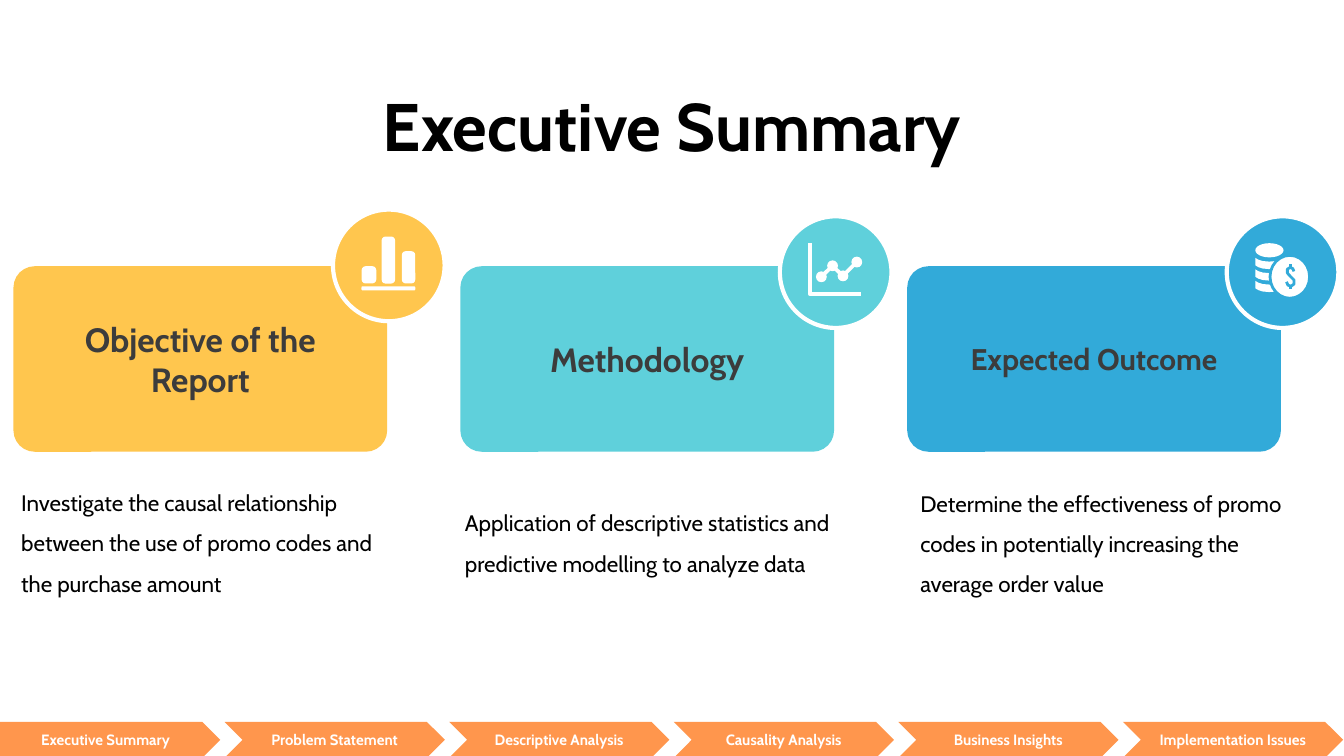
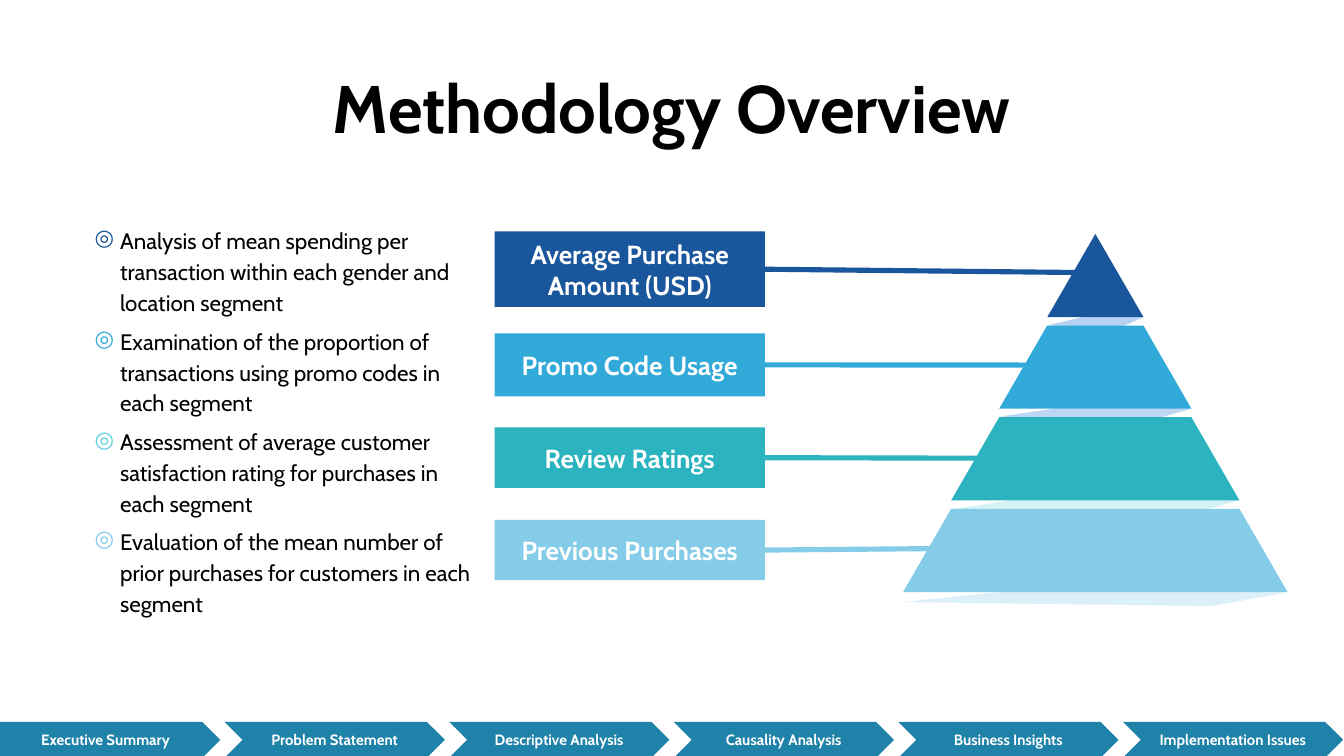
"""Builds the executive summary and methodology overview slides."""
from lxml.etree import SubElement
from pptx import Presentation
from pptx.dml.color import RGBColor
from pptx.enum.shapes import MSO_CONNECTOR, MSO_SHAPE as SHAPE
from pptx.enum.text import MSO_ANCHOR as ANCHOR, MSO_AUTO_SIZE, PP_ALIGN as ALIGN
from pptx.oxml.ns import qn
from pptx.util import Pt

FONT = "Cabin"
WHITE, BLACK, GREY = "FFFFFF", "000000", "3C3C3C"
YELLOW, TURQUOISE, BLUE = "FFC64E", "5FD0DB", "32AAD9"

STEPS = ["Executive Summary", "Problem Statement", "Descriptive Analysis",
         "Causality Analysis", "Business Insights", "Implementation Issues"]

CARDS = [
    dict(heading="Objective of the Report", size=18, color=YELLOW, badge_top=112.3,
         body="Investigate the causal relationship between the use of promo codes "
              "and the purchase amount", area=(4.3, 237.6, 219, 99.4)),
    dict(heading="Methodology", size=18, color=TURQUOISE, badge_top=115.9,
         body="Application of descriptive statistics and predictive modelling "
              "to analyze data", area=(242, 247, 210, 80.6)),
    dict(heading="Expected Outcome", size=16, color=BLUE, badge_top=115.9,
         body="Determine the effectiveness of promo codes in potentially increasing "
              "the average order value", area=(486, 231.8, 219, 111.6)),
]

BARS = [(193.7, 142.6, 7.9, 9.3), (204.5, 126.7, 7.2, 25.2),
        (215.3, 134.6, 7.2, 17.3), (193.7, 153.4, 28.8, 2.2)]
AXES = [(433.8, 130.2), (433.8, 157.4), (461.4, 157.4)]
TREND = [(440, 148.3), (446, 142.4), (451.6, 147.8), (459, 140.4)]
COIN_RIM = [(0, 0), (1.7, 1), (4, 1.7), (7.5, 2), (11, 1.7), (13.4, 1), (15.1, 0)]
DOLLAR = [(693.2, 145.4), (692.6, 143.9), (691.2, 143.3), (689.7, 144.2),
          (689.7, 146.3), (691.2, 148), (693.2, 150), (693.2, 152.2),
          (691.7, 153.3), (690, 152.8), (689.2, 151)]
DOLLAR_STEMS = [[(691.3, 141.6), (691.3, 143.3)], [(691.3, 153.3), (691.3, 155)]]

LEVELS = [
    dict(label="Average Purchase Amount (USD)", color="1A569C", bullet="1A569C",
         top=124, height=40.5, line_end=(576.7, 146), note_top=115.9,
         note="Analysis of mean spending per transaction within each gender "
              "and location segment",
         shade=("5697E3", 43),
         shadow=[(589, 167.8), (561.6, 174.2), (596.2, 177.1), (612.7, 169.9)]),
    dict(label="Promo Code Usage", color=BLUE, bullet="31ABD9",
         top=178.6, height=33.8, line_end=(563.8, 195.6), note_top=169.9,
         note="Examination of the proportion of transactions using promo codes "
              "in each segment",
         shade=("8FBAEC", 58),
         shadow=[(584.6, 216), (535.7, 223.2), (615.6, 225.4), (638.6, 218.9)]),
    dict(label="Review Ratings", color="2BB3C0", bullet="5ED1DC",
         top=229, height=32.4, line_end=(530.6, 245.5), note_top=223.9,
         note="Assessment of average customer satisfaction rating for purchases "
              "in each segment",
         shade=("9FE3E9", 44),
         shadow=[(576.7, 262.8), (509.8, 272.9), (632.2, 277.2), (664.6, 267.8)]),
    dict(label="Previous Purchases", color="84CCE8", bullet="84CCE9",
         top=278.6, height=32.2, line_end=(514, 293.8), note_top=277.2,
         note="Evaluation of the mean number of prior purchases for customers "
              "in each segment",
         shade=("ADDDF0", 43),
         shadow=[(552.2, 315.4), (483.8, 322.6), (648.7, 324.7), (689.8, 317.5)]),
]


def rgb(color):
    return RGBColor.from_string(color)


def style(shape, fill=None, line=None, width=1):
    shape.shadow.inherit = False
    if fill:
        shape.fill.solid()
        shape.fill.fore_color.rgb = rgb(fill)
    else:
        shape.fill.background()
    if line:
        shape.line.color.rgb = rgb(line)
        shape.line.width = Pt(width)
    else:
        shape.line.fill.background()
    return shape


def add_bullet(para, color):
    properties = para._p.get_or_add_pPr()
    properties.set("marL", str(Pt(13.7)))
    properties.set("indent", str(-Pt(13.7)))
    bullet_color = SubElement(properties, qn("a:buClr"))
    SubElement(bullet_color, qn("a:srgbClr")).set("val", color)
    SubElement(properties, qn("a:buChar")).set("char", "◎")


def write(shape, text, size=12, color=BLACK, bold=False, align=ALIGN.LEFT,
          anchor=ANCHOR.MIDDLE, spacing=None, inset=7.2, bullet=None):
    frame = shape.text_frame
    frame.word_wrap = True
    frame.vertical_anchor = anchor
    frame.margin_left = frame.margin_right = Pt(7.2)
    frame.margin_top = frame.margin_bottom = Pt(inset)
    para = frame.paragraphs[0]
    if bullet:
        add_bullet(para, bullet)
    para.alignment = align
    if spacing:
        para.line_spacing = spacing
    span = para.add_run()
    span.text = text
    span.font.name, span.font.size, span.font.bold = FONT, Pt(size), bold
    span.font.color.rgb = rgb(color)
    return frame


def add_box(page, kind, area, fill, adjust=None, **line):
    box = page.shapes.add_shape(kind, *map(Pt, area))
    if adjust is not None:
        box.adjustments[0] = adjust
    return style(box, fill, **line)


def add_text(page, area, text, **options):
    return write(page.shapes.add_textbox(*map(Pt, area)), text, **options)


def add_outline(page, points, fill=None, alpha=None, **line):
    corners = [(Pt(x), Pt(y)) for x, y in points]
    builder = page.shapes.build_freeform(*corners[0])
    builder.add_line_segments(corners[1:], close=fill is not None)
    outline = style(builder.convert_to_shape(), fill, **line)
    if alpha:
        color = outline.element.spPr.find(".//" + qn("a:srgbClr"))
        SubElement(color, qn("a:alpha")).set("val", str(alpha * 1000))
    return outline


def add_page(deck, title, title_top, band):
    page = deck.slides.add_slide(deck.slide_layouts[6])
    add_text(page, (36, title_top, 648, 38), title, size=36, bold=True,
             align=ALIGN.CENTER)
    for index, step in enumerate(STEPS):
        kind = SHAPE.CHEVRON if index else SHAPE.PENTAGON
        arrow = add_box(page, kind, (120.3 * index, 386.7, 118, 19.3), band, 0.5)
        write(arrow, step, size=8, color=WHITE, bold=True, align=ALIGN.CENTER)
    return page


def draw_bar_icon(page):
    for bar in BARS:
        add_box(page, SHAPE.ROUNDED_RECTANGLE, bar, WHITE, 0.28)


def draw_trend_icon(page):
    add_outline(page, AXES, line=WHITE, width=2)
    add_outline(page, TREND, line=WHITE, width=2)
    for x, y in TREND:
        add_box(page, SHAPE.OVAL, (x - 2.9, y - 2.9, 5.8, 5.8), WHITE)


def draw_coin_icon(page):
    add_box(page, SHAPE.OVAL, (672.5, 130.3, 15.1, 7.6), WHITE)
    for index in range(3):
        top = 138.2 + 6.15 * index
        rim = [(672.5 + x, top + y) for x, y in COIN_RIM]
        add_outline(page, rim + [(x, y + 4) for x, y in reversed(rim)], WHITE)
    add_box(page, SHAPE.OVAL, (680.4, 136.8, 21.2, 23), WHITE, line=BLUE, width=1.5)
    for stroke in [DOLLAR, *DOLLAR_STEMS]:
        add_outline(page, stroke, line=BLUE, width=1.5)


def build_summary(deck):
    page = add_page(deck, "Executive Summary", 47.5, "FF964D")
    icons = [draw_bar_icon, draw_trend_icon, draw_coin_icon]
    for index, (card, draw_icon) in enumerate(zip(CARDS, icons)):
        left = 7.2 + 239.4 * index
        panel = add_box(page, SHAPE.ROUNDED_RECTANGLE, (left, 142.6, 200.2, 99.4),
                        card["color"], 0.115)
        write(panel, card["heading"], size=card["size"], color=GREY, bold=True,
              align=ALIGN.CENTER)
        add_text(page, card["area"], card["body"], spacing=1.5)
        add_box(page, SHAPE.OVAL, (left + 171.2, card["badge_top"], 59.8, 59.8),
                card["color"], line=WHITE, width=2.25)
        draw_icon(page)


def join_label(page, label, level):
    x, y = map(Pt, level["line_end"])
    link = page.shapes.add_connector(MSO_CONNECTOR.STRAIGHT, x, y, x, y)
    link.begin_connect(label, 3)
    link.line.color.rgb = rgb(level["color"])
    link.line.width = Pt(2.75)
    SubElement(link.element.spPr, qn("a:effectLst"))


def build_methodology(deck):
    page = add_page(deck, "Methodology Overview", 38.2, "1F82A9")
    for level in LEVELS:
        label = add_box(page, SHAPE.RECTANGLE,
                        (265, level["top"], 144.8, level["height"]), level["color"])
        write(label, level["label"], size=14, color=WHITE, bold=True,
              align=ALIGN.CENTER)
        join_label(page, label, level)
        note = add_text(page, (43.6, level["note_top"], 221, 56.2), level["note"],
                        anchor=ANCHOR.TOP, spacing=1.15, inset=3.6,
                        bullet=level["bullet"])
        note.auto_size = MSO_AUTO_SIZE.SHAPE_TO_FIT_TEXT
    for level in LEVELS:
        color, alpha = level["shade"]
        add_outline(page, level["shadow"], color, alpha)
    center, step = 586.8, 25.75
    for index, level in enumerate(LEVELS):
        top = 125.3 + 49.1 * index
        upper, lower = step * index, step * (index + 1)
        add_outline(page, [(center - upper, top), (center - lower, top + 44.6),
                           (center + lower, top + 44.6), (center + upper, top)],
                    level["color"])


def main():
    deck = Presentation()
    deck.slide_width, deck.slide_height = Pt(720), Pt(405)
    build_summary(deck)
    build_methodology(deck)
    deck.save("out.pptx")


if __name__ == "__main__":
    main()
